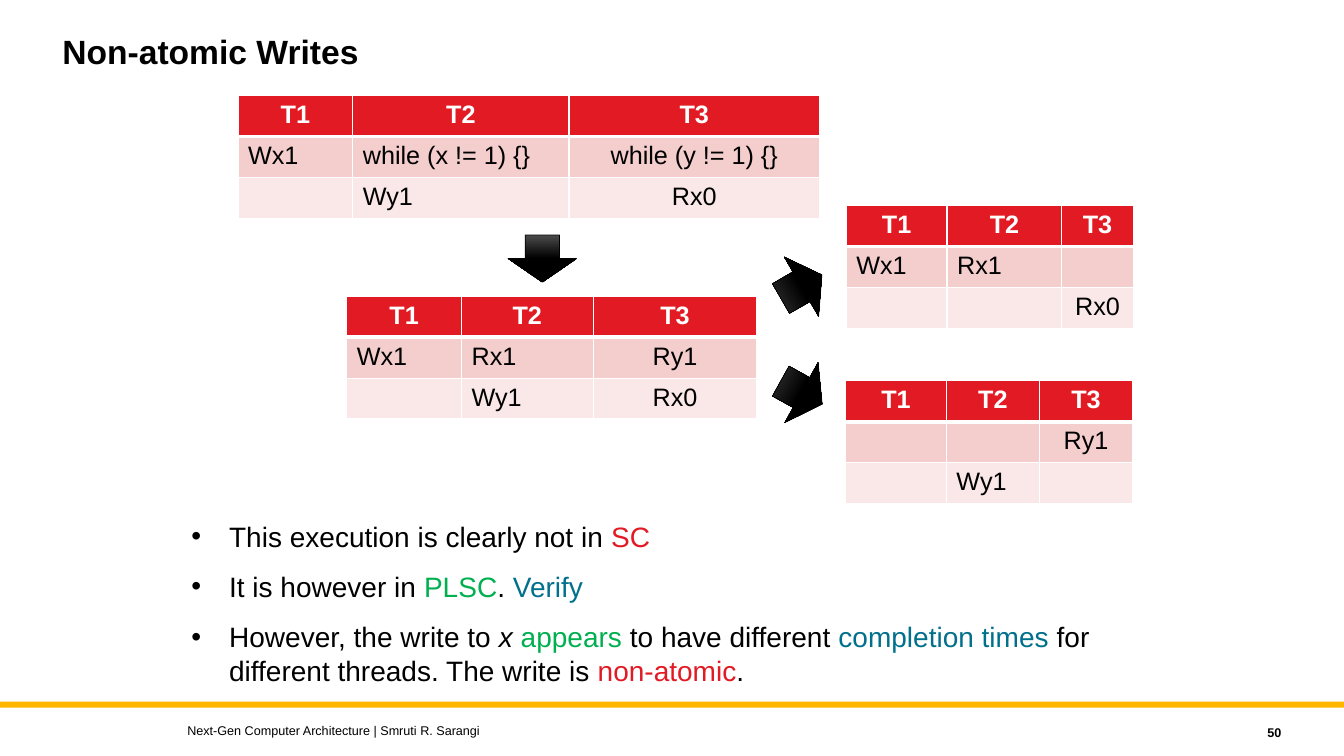
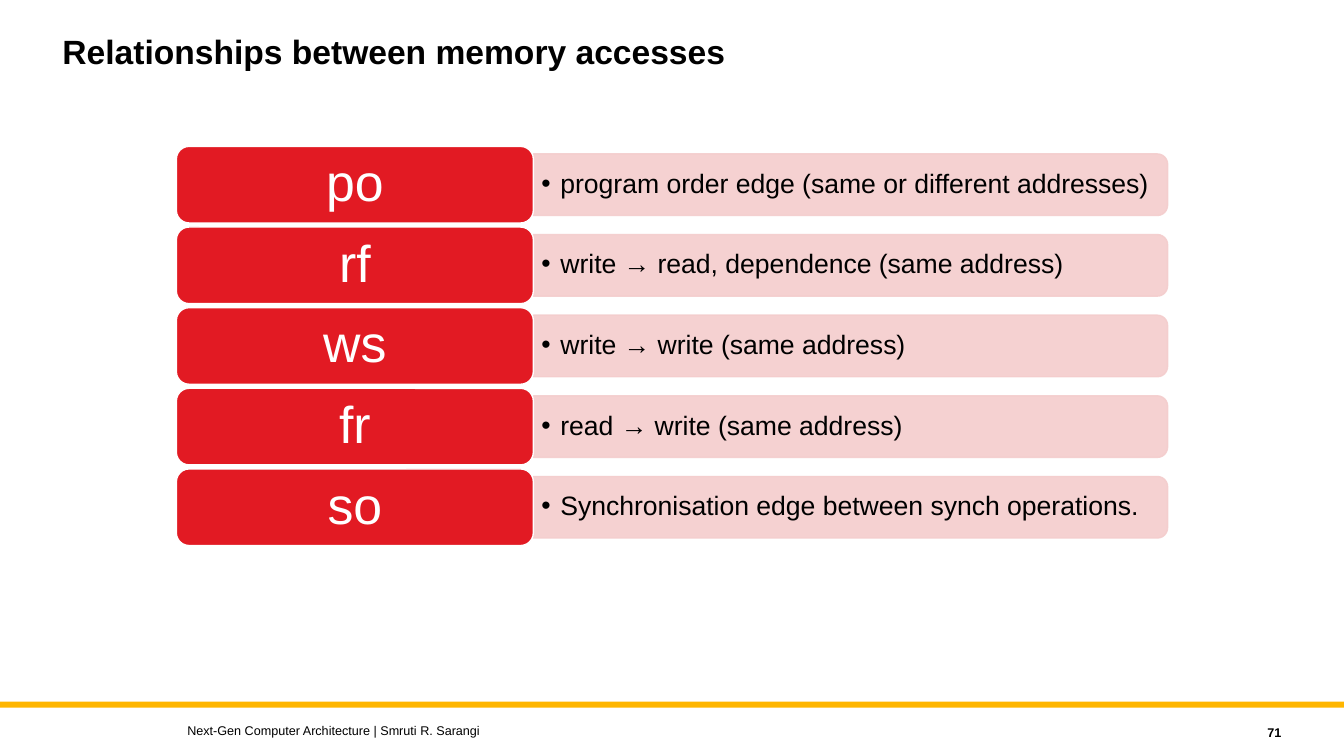
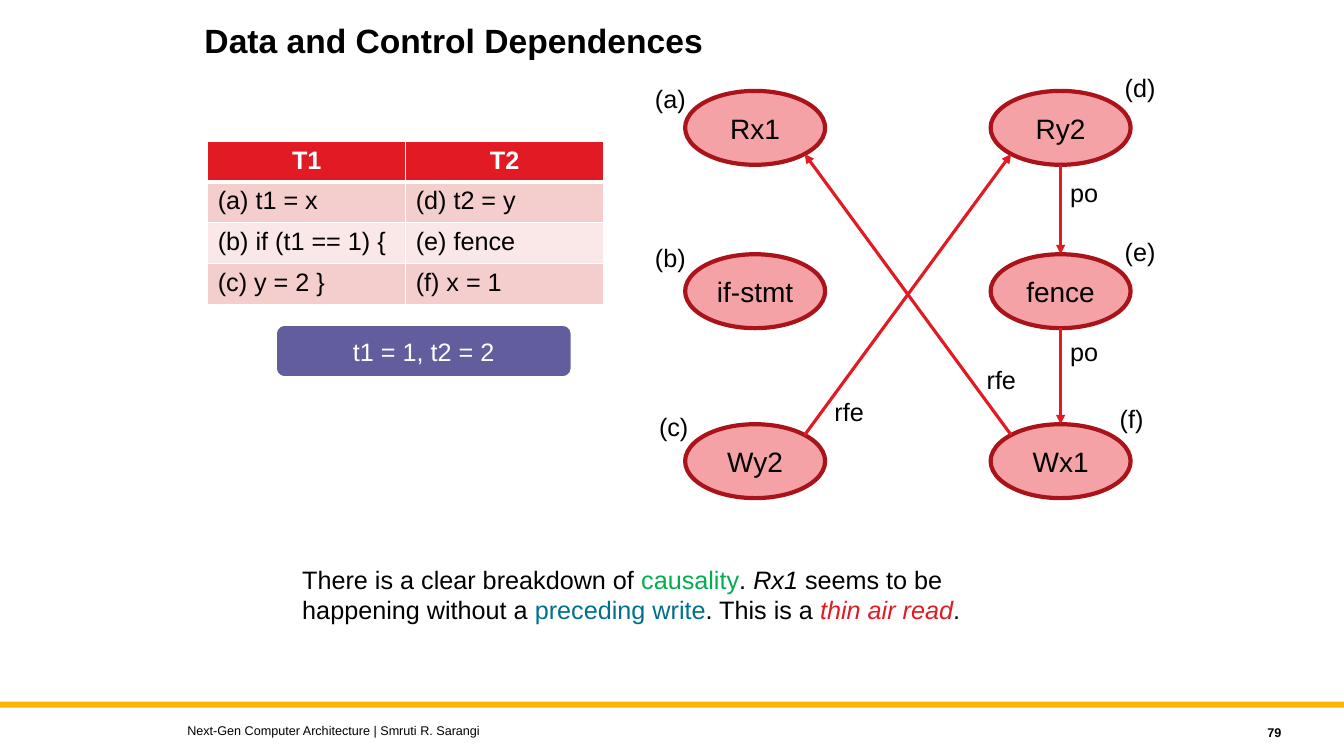
"""Build three lecture slides on memory models."""
from math import sqrt

from lxml.etree import SubElement
from pptx import Presentation
from pptx.dml.color import RGBColor
from pptx.enum.shapes import MSO_CONNECTOR as Connector, MSO_SHAPE as Shape
from pptx.enum.text import MSO_ANCHOR as Anchor, PP_ALIGN as Align
from pptx.oxml.ns import qn
from pptx.util import Pt

BLACK = RGBColor(0x00, 0x00, 0x00)
WHITE = RGBColor(0xFF, 0xFF, 0xFF)
RED = RGBColor(0xE2, 0x1A, 0x23)
DARK_RED = RGBColor(0xAA, 0x13, 0x1A)
ROSE = RGBColor(0xF4, 0xA2, 0xA6)
PINK = RGBColor(0xF4, 0xCD, 0xCD)
PALE_PINK = RGBColor(0xFA, 0xE8, 0xE8)
GREEN = RGBColor(0x00, 0xB0, 0x50)
TEAL = RGBColor(0x01, 0x70, 0x8C)
PURPLE = RGBColor(0x62, 0x5D, 0x9C)
AMBER = RGBColor(0xFF, 0xB6, 0x00)
CHARCOAL = RGBColor(0x4B, 0x4B, 0x4B)

FONT = "Arial"
FOOTER = "Next-Gen Computer Architecture | Smruti R. Sarangi"
WIDTH, HEIGHT = 960, 540
ROW_HEIGHT = 29.2


class Lecture:
    """Hold the deck style and the current slide."""

    def __init__(self):
        self.deck = Presentation()
        self.deck.slide_width, self.deck.slide_height = Pt(WIDTH), Pt(HEIGHT)
        self.page = None

    def start(self, title, number, left=37.5, top=21.6, width=720):
        """Add a slide with its title, band and footer."""
        self.page = self.deck.slides.add_slide(self.deck.slide_layouts[6])
        self.shape(Shape.RECTANGLE, 0, 501.1, WIDTH, 4.3, AMBER)
        box = self.text(left, top, width, 64.8, [title], 24, bold=True)
        box.text_frame.paragraphs[0].line_spacing = 0.9
        self.text(126.7, 512.6, 576, 18, [FOOTER], 9, anchor=Anchor.MIDDLE)
        self.text(821.5, 514.1, 100.8, 18, [number], 9, bold=True,
                  align=Align.RIGHT, anchor=Anchor.MIDDLE)

    def spans(self, para, pieces, size, color=BLACK, bold=False):
        """Fill a paragraph from strings or (text, colour, italic) pieces."""
        for piece in pieces:
            words, tint, italic = (piece, color, False) if isinstance(piece, str) else piece
            span = para.add_run()
            span.text = words
            font = span.font
            font.name, font.size, font.bold, font.italic = FONT, Pt(size), bold, italic
            font.color.rgb = tint

    def text(self, left, top, width, height, pieces, size, bold=False,
             align=Align.LEFT, anchor=Anchor.TOP):
        """Add a wrapping text box with one paragraph."""
        box = self.page.shapes.add_textbox(Pt(left), Pt(top), Pt(width), Pt(height))
        frame = box.text_frame
        frame.word_wrap = True
        frame.vertical_anchor = anchor
        frame.paragraphs[0].alignment = align
        self.spans(frame.paragraphs[0], pieces, size, bold=bold)
        return box

    def bullet(self, para, indent):
        """Give a paragraph a hanging bullet."""
        properties = para._p.get_or_add_pPr()
        properties.set("marL", str(Pt(indent)))
        properties.set("indent", str(-Pt(indent)))
        SubElement(properties, qn("a:buFont")).set("typeface", FONT)
        SubElement(properties, qn("a:buChar")).set("char", "•")

    def bullets(self, left, top, width, height, items, size):
        """Add a bulleted list."""
        box = self.text(left, top, width, height, [], size)
        frame = box.text_frame
        for index, pieces in enumerate(items):
            para = frame.add_paragraph() if index else frame.paragraphs[0]
            self.bullet(para, 27)
            if index:
                para.space_before = Pt(12)
            self.spans(para, pieces, size)

    def shape(self, kind, left, top, width, height, fill, line=None, weight=1,
              label=None, size=18, color=WHITE):
        """Add a preset shape with an optional centred label."""
        shape = self.page.shapes.add_shape(kind, Pt(left), Pt(top), Pt(width), Pt(height))
        shape.shadow.inherit = False
        shape.fill.solid()
        shape.fill.fore_color.rgb = fill
        if line is None:
            shape.line.fill.background()
        else:
            shape.line.color.rgb = line
            shape.line.width = Pt(weight)
        if label:
            frame = shape.text_frame
            frame.margin_left = frame.margin_right = 0
            frame.vertical_anchor = Anchor.MIDDLE
            frame.paragraphs[0].alignment = Align.CENTER
            self.spans(frame.paragraphs[0], [label], size, color)
        return shape

    def block_arrow(self, left, top, rotation):
        """Add a shaded block arrow."""
        arrow = self.shape(Shape.DOWN_ARROW, left, top, 49, 33.8, BLACK, BLACK, 0.5)
        arrow.rotation = rotation
        arrow.fill.gradient()
        arrow.fill.gradient_angle = 270
        first, last = arrow.fill.gradient_stops
        first.color.rgb, first.position = CHARCOAL, 0
        last.color.rgb, last.position = BLACK, 0.5

    def edge(self, start, end, target=None):
        """Add an arrow, joined to the top of its target if given."""
        edge = self.page.shapes.add_connector(
            Connector.STRAIGHT, *(Pt(value) for value in (*start, *end)))
        if target is not None:
            edge.end_connect(target, 0)
        edge.line.color.rgb = RED
        edge.line.width = Pt(2.25)
        SubElement(edge.get_or_add_ln(), qn("a:tailEnd")).set("type", "triangle")
        SubElement(edge.element.spPr, qn("a:effectLst"))

    def borders(self, cell, top, bottom):
        """Draw white borders around a table cell."""
        properties = cell._tc.get_or_add_tcPr()
        for side, weight in (("L", 1), ("R", 1), ("T", top), ("B", bottom)):
            line = SubElement(properties, qn(f"a:ln{side}"), w=str(Pt(weight)))
            fill = SubElement(line, qn("a:solidFill"))
            SubElement(fill, qn("a:srgbClr")).set("val", str(WHITE))

    def table(self, left, top, widths, rows, centred=()):
        """Add a table with a red header and striped rows."""
        table = self.page.shapes.add_table(
            len(rows), len(widths), Pt(left), Pt(top), Pt(sum(widths)),
            Pt(ROW_HEIGHT * len(rows))).table
        for column, width in zip(table.columns, widths):
            column.width = Pt(width)
        for row, texts in enumerate(rows):
            table.rows[row].height = Pt(ROW_HEIGHT)
            header = row == 0
            for column, words in enumerate(texts):
                cell = table.cell(row, column)
                self.borders(cell, 3 if row == 1 else 1, 3 if header else 1)
                cell.fill.solid()
                cell.fill.fore_color.rgb = RED if header else (PALE_PINK, PINK)[row % 2]
                para = cell.text_frame.paragraphs[0]
                if header or column in centred:
                    para.alignment = Align.CENTER
                if words:
                    self.spans(para, [words], 18, WHITE if header else BLACK, header)

    def definition(self, top, term, meaning):
        """Add a term block followed by its meaning on a rounded bar."""
        left, width, height = 126, 255, 54.7
        bar_left, bar_width, bar_height = left + width, 453, 44
        middle = top + height / 2
        bar = self.shape(Shape.ROUND_2_SAME_RECTANGLE,
                         bar_left + (bar_width - bar_height) / 2, middle - bar_width / 2,
                         bar_height, bar_width, PINK, PINK)
        bar.rotation = 90
        for tint in bar.element.spPr.iter(qn("a:srgbClr")):
            SubElement(tint, qn("a:alpha")).set("val", "90000")
        box = self.text(bar_left, middle - 20, bar_width - 2, 40, [], 19, anchor=Anchor.MIDDLE)
        frame = box.text_frame
        frame.margin_left = frame.margin_right = Pt(5.8)
        para = frame.paragraphs[0]
        self.bullet(para, 13.5)
        para.line_spacing = 0.9
        self.spans(para, [meaning], 19)
        block = self.shape(Shape.ROUNDED_RECTANGLE, left, top, width, height, RED, WHITE,
                           label=term, size=37)
        block.text_frame.paragraphs[0].line_spacing = 0.9


def non_atomic_writes(lecture):
    """Build the slide on non-atomic writes."""
    lecture.start("Non-atomic Writes", "50")
    header = ("T1", "T2", "T3")
    tables = (
        (170, 68.4, (82, 154.5, 179),
         ("Wx1", "while (x != 1) {}", "while (y != 1) {}"), ("", "Wy1", "Rx0")),
        (247.7, 211.7, (82, 94, 117), ("Wx1", "Rx1", "Ry1"), ("", "Wy1", "Rx0")),
        (604.5, 146.9, (72, 82, 51), ("Wx1", "Rx1", ""), ("", "", "Rx0")),
        (604, 272, (72, 66.5, 66.5), ("", "", "Ry1"), ("", "Wy1", "")),
    )
    for left, top, widths, *rows in tables:
        lecture.table(left, top, widths, (header, *rows), centred=(2,))
    for left, top, rotation in ((362.9, 167.8, 0), (548, 187.9, 240), (548, 263.5, 299)):
        lecture.block_arrow(left, top, rotation)
    lecture.bullets(129.6, 367.2, 666.7, 154.8, (
        ("This execution is clearly not in ", ("SC", RED, False)),
        ("It is however in ", ("PLSC", GREEN, False), ". ", ("Verify", TEAL, False)),
        ("However, the write to ", ("x ", BLACK, True), ("appears", GREEN, False),
         " to have different ", ("completion times ", TEAL, False),
         "for different threads. The write is ", ("non-atomic", RED, False), "."),
    ), 20)


def memory_relationships(lecture):
    """Build the slide that defines the access relationships."""
    lecture.start("Relationships between memory accesses", "71")
    definitions = (
        ("po", "program order edge (same or different addresses)"),
        ("rf", "write → read, dependence (same address)"),
        ("ws", "write → write (same address)"),
        ("fr", "read → write (same address)"),
        ("so", "Synchronisation edge between synch operations."),
    )
    for index, (term, meaning) in enumerate(definitions):
        lecture.definition(104.6 + 57.6 * index, term, meaning)


def dependences(lecture):
    """Build the slide on data and control dependences."""
    lecture.start("Data and Control Dependences", "79", 139, 13.7, 540)
    lecture.table(148.4, 100.8, (141.4, 141.4), (
        ("T1", "T2"), ("(a) t1 = x", "(d) t2 = y"),
        ("(b) if (t1 == 1) {", "(e) fence"), ("(c) y = 2 }", "(f) x = 1")))
    lecture.shape(Shape.ROUNDED_RECTANGLE, 197, 232, 211.4, 37.5, PURPLE, WHITE, 1.5,
                  "t1 = 1, t2 = 2")

    lefts, tops, width, height = (489.4, 707.6), (64.9, 181.6, 303), 100, 52.8
    names = (("Rx1", "Ry2"), ("if-stmt", "fence"), ("Wy2", "Wx1"))
    nodes = [[lecture.shape(Shape.OVAL, left, top, width, height, ROSE, DARK_RED, 3, name,
                            20, BLACK) for left, name in zip(lefts, row)]
             for top, row in zip(tops, names)]

    reach_x, reach_y = width / sqrt(8), height / sqrt(8)
    inner_left = lefts[0] + width / 2 + reach_x
    inner_right = lefts[1] + width / 2 - reach_x
    upper = tops[0] + height / 2 + reach_y
    lower = tops[2] + height / 2 - reach_y
    lecture.edge((inner_right, lower), (inner_left, upper))
    lecture.edge((inner_left, lower), (inner_right, upper))
    center = lefts[1] + width / 2
    for row in (1, 2):
        lecture.edge((center, tops[row - 1] + height), (center, tops[row]), nodes[row][1])

    labels = (
        ("rfe", 697.7, 257), ("rfe", 589, 279.4), ("po", 757.4, 123.1), ("po", 757.4, 236.9),
        ("(a)", 460.8, 56.2), ("(b)", 460.8, 169.2), ("(c)", 463.7, 290.2),
        ("(d)", 796.3, 48.2), ("(e)", 796.3, 165.6), ("(f)", 792.7, 284.4),
    )
    for label, left, top in labels:
        lecture.text(left, top, 72, 28.8, [label], 18)
    lecture.text(208.8, 399.6, 525, 51, (
        "There is a clear breakdown of ", ("causality", GREEN, False), ". ",
        ("Rx1", BLACK, True), " seems to be happening without a ",
        ("preceding write", TEAL, False), ". This is a ", ("thin air read", RED, True), "."), 18)


def main():
    """Build and save the deck."""
    lecture = Lecture()
    non_atomic_writes(lecture)
    memory_relationships(lecture)
    dependences(lecture)
    lecture.deck.save("out.pptx")


if __name__ == "__main__":
    main()
